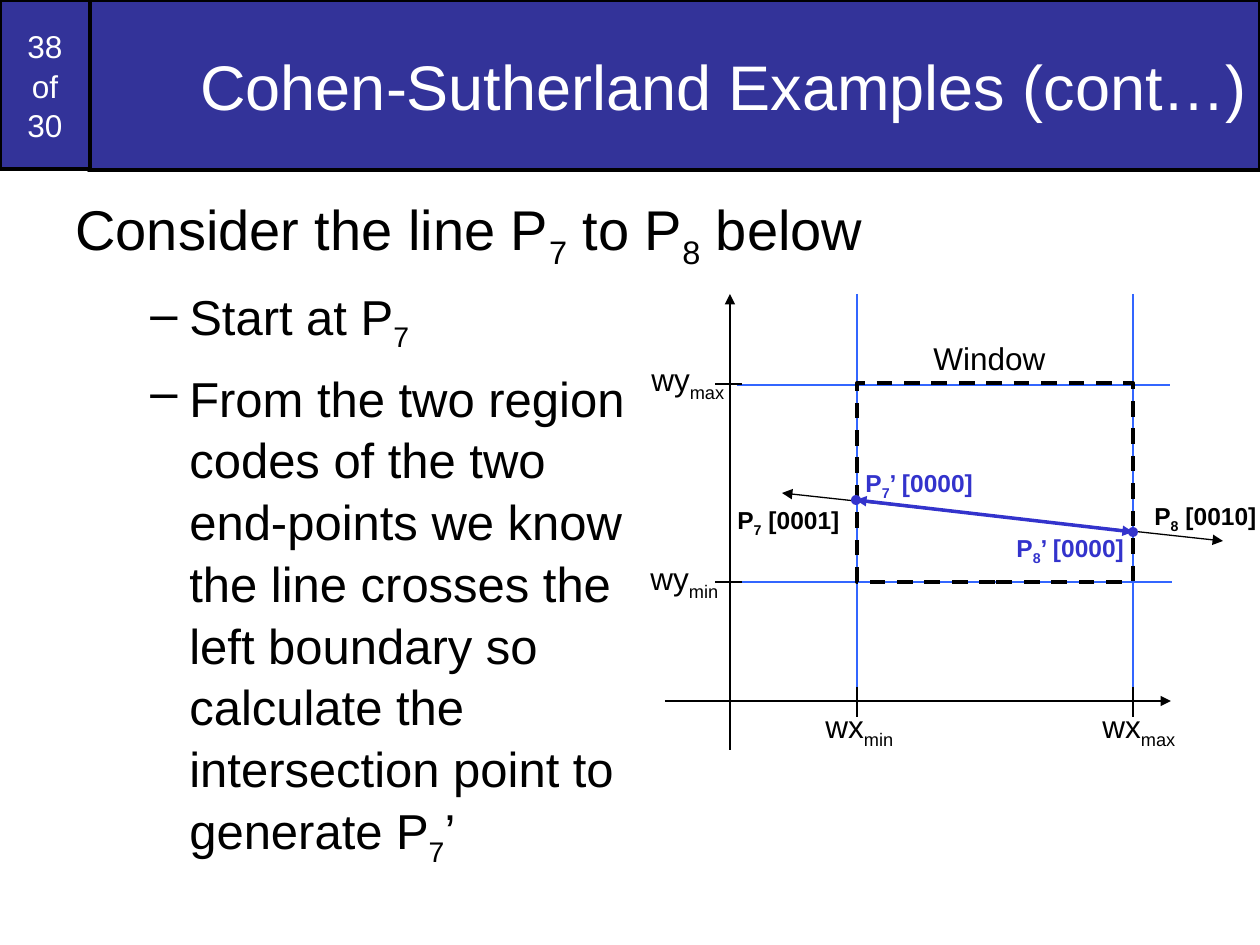
"""Build the Cohen-Sutherland line clipping example slide."""
from lxml import etree
from pptx import Presentation
from pptx.dml.color import RGBColor
from pptx.enum.dml import MSO_LINE_DASH_STYLE as Dash
from pptx.enum.shapes import MSO_CONNECTOR, MSO_SHAPE
from pptx.enum.text import MSO_ANCHOR as Anchor, PP_ALIGN as Align
from pptx.oxml.ns import qn
from pptx.util import Pt

PX = 914400 / 126
NAVY, BLACK, WHITE, SKY, BLUE = "333399", "000000", "FFFFFF", "3366FF", "3333CC"

TITLE = "Cohen-Sutherland Examples (cont…)"
COUNTER = "38\nof\n30"
LEAD = "Consider the line P_7_ to P_8_ below"
STEPS = [
    "Start at P_7_",
    "From the two region\ncodes of the two\nend-points we know\nthe line crosses the\n"
    "left boundary so\ncalculate the\nintersection point to\ngenerate P_7_’",
]

LEFT, RIGHT, TOP, BOTTOM = 857, 1133, 384, 582
AXIS_X, AXIS_Y = 730, 701
GUIDES = [
    (LEFT, 294, LEFT, 690),
    (RIGHT, 294, RIGHT, 695),
    (1170, TOP + 1, 737, TOP + 1),
    (1172, BOTTOM, 742, BOTTOM),
]
AXES = [(665, AXIS_Y, 1171, AXIS_Y), (AXIS_X, 750, AXIS_X, 294)]
TICKS = [(742, y, 715, y) for y in (TOP, BOTTOM)] + [(x, 687, x, 717) for x in (LEFT, RIGHT)]
AXIS_LABELS = [
    ("wy_max_", 639, 354, 98),
    ("wy_min_", 638, 553, 93),
    ("wx_min_", 813, 701, 93),
    ("wx_max_", 1090, 701, 98),
    ("Window", 921, 333, 137),
]
POINT_LABELS = [
    ("P_7_’ [0000]", 853, 462, 134, BLUE),
    ("P_7_ [0001]", 725, 499, 127, BLACK),
    ("P_8_ [0010]", 1142, 495, 127, BLACK),
    ("P_8_’ [0000]", 1004, 527, 134, BLUE),
]
FULL_LINE = (782, 493, 1223, 541)
CLIPPED_LINE = (856, 500, 1133, 532)
DOT = 10


def px(*lengths):
    """Turn px lengths into EMU."""
    return [round(length * PX) for length in lengths]


def rgb(color):
    """Turn a hex string into a colour."""
    return RGBColor.from_string(color)


def write(paragraph, text, size=18, color=BLACK, bold=False, align=Align.LEFT, spacing=None):
    """Write text, with subscripts between underscores, into a paragraph."""
    paragraph.alignment = align
    paragraph.line_spacing = spacing
    for row, line in enumerate(text.split("\n")):
        if row:
            paragraph.add_line_break()
        for part, piece in enumerate(line.split("_")):
            if not piece:
                continue
            run = paragraph.add_run()
            run.text = piece
            run.font.name, run.font.size, run.font.bold = "Arial", Pt(size), bold
            run.font.color.rgb = rgb(color)
            if part % 2:
                run.font._element.set("baseline", "-25000")


def add_label(slide, text, box, wrap=False, **style):
    """Add a text box and return its frame."""
    frame = slide.shapes.add_textbox(*px(*box)).text_frame
    frame.word_wrap = wrap
    write(frame.paragraphs[0], text, **style)
    return frame


def add_bullet(frame, text, **style):
    """Add a dashed second-level paragraph."""
    paragraph = frame.add_paragraph()
    paragraph.level = 1
    paragraph.space_before = Pt(7)
    props = paragraph._p.get_or_add_pPr()
    margin, indent = px(114, -39)
    props.set("marL", str(margin))
    props.set("indent", str(indent))
    etree.SubElement(props, qn("a:buChar"), char="–")
    write(paragraph, text, **style)


def style_shape(shape, fill=None, line=None, width=2):
    """Set fill and outline, leaving out those not given."""
    if fill:
        shape.fill.solid()
        shape.fill.fore_color.rgb = rgb(fill)
    else:
        shape.fill.background()
    if line:
        shape.line.color.rgb = rgb(line)
        shape.line.width = Pt(width)
    else:
        shape.line.fill.background()


def add_shape(slide, kind, box, **style):
    """Add a flat preset shape."""
    shape = slide.shapes.add_shape(kind, *px(*box))
    shape.shadow.inherit = False
    style_shape(shape, **style)
    return shape


def add_line(slide, ends, color=BLACK, width=0.75, arrows=()):
    """Add a straight line with arrowheads at the named ends."""
    line = slide.shapes.add_connector(MSO_CONNECTOR.STRAIGHT, *px(*ends))
    line.line.color.rgb = rgb(color)
    line.line.width = Pt(width)
    for end in arrows:
        etree.SubElement(line.line._get_or_add_ln(), qn(f"a:{end}"), type="triangle")
    etree.SubElement(line._element.spPr, qn("a:effectLst"))


def add_header(slide):
    """Add the slide counter and the title."""
    counter = add_shape(slide, MSO_SHAPE.RECTANGLE, (0, 0, 90, 169), fill=NAVY, line=BLACK)
    counter.text_frame.vertical_anchor = Anchor.MIDDLE
    write(counter.text_frame.paragraphs[0], COUNTER, color=WHITE, align=Align.CENTER, spacing=1.05)
    title = slide.shapes.title
    title.left, title.top, title.width, title.height = px(88, 0, 1172, 170)
    style_shape(title, fill=NAVY, line=BLACK)
    title.text_frame.vertical_anchor = Anchor.MIDDLE
    write(title.text_frame.paragraphs[0], TITLE, size=36, color=WHITE, align=Align.RIGHT)


def add_diagram(slide):
    """Add the axes, the clipping window and the clipped line."""
    for guide in GUIDES:
        add_line(slide, guide, color=SKY)
    for axis in AXES:
        add_line(slide, axis, arrows=["tailEnd"])
    window = add_shape(slide, MSO_SHAPE.RECTANGLE, (LEFT, TOP - 1, RIGHT - LEFT, BOTTOM - TOP + 1),
                       line=BLACK, width=2.25)
    window.line.dash_style = Dash.DASH
    for tick in TICKS:
        add_line(slide, tick)
    for text, x, y, width in AXIS_LABELS:
        add_label(slide, text, (x, y, width, 55))
    add_line(slide, FULL_LINE, arrows=["headEnd", "tailEnd"])
    for text, x, y, width, color in POINT_LABELS:
        add_label(slide, text, (x, y, width, 47), size=14, color=color, bold=True)
    for x, y in (CLIPPED_LINE[:2], CLIPPED_LINE[2:]):
        add_shape(slide, MSO_SHAPE.OVAL, (x - DOT / 2, y - DOT / 2, DOT, DOT), fill=BLUE)
    add_line(slide, CLIPPED_LINE, color=BLUE, width=2, arrows=["headEnd", "tailEnd"])


def main():
    """Build and save the slide."""
    deck = Presentation()
    deck.slide_width, deck.slide_height = px(1260, 945)
    slide = deck.slides.add_slide(deck.slide_layouts[5])
    add_header(slide)
    body = add_label(slide, LEAD, (63, 184, 1134, 761), wrap=True, size=32, spacing=1.05)
    for step in STEPS:
        add_bullet(body, step, size=28, spacing=1.05)
    add_diagram(slide)
    deck.save("out.pptx")


if __name__ == "__main__":
    main()
